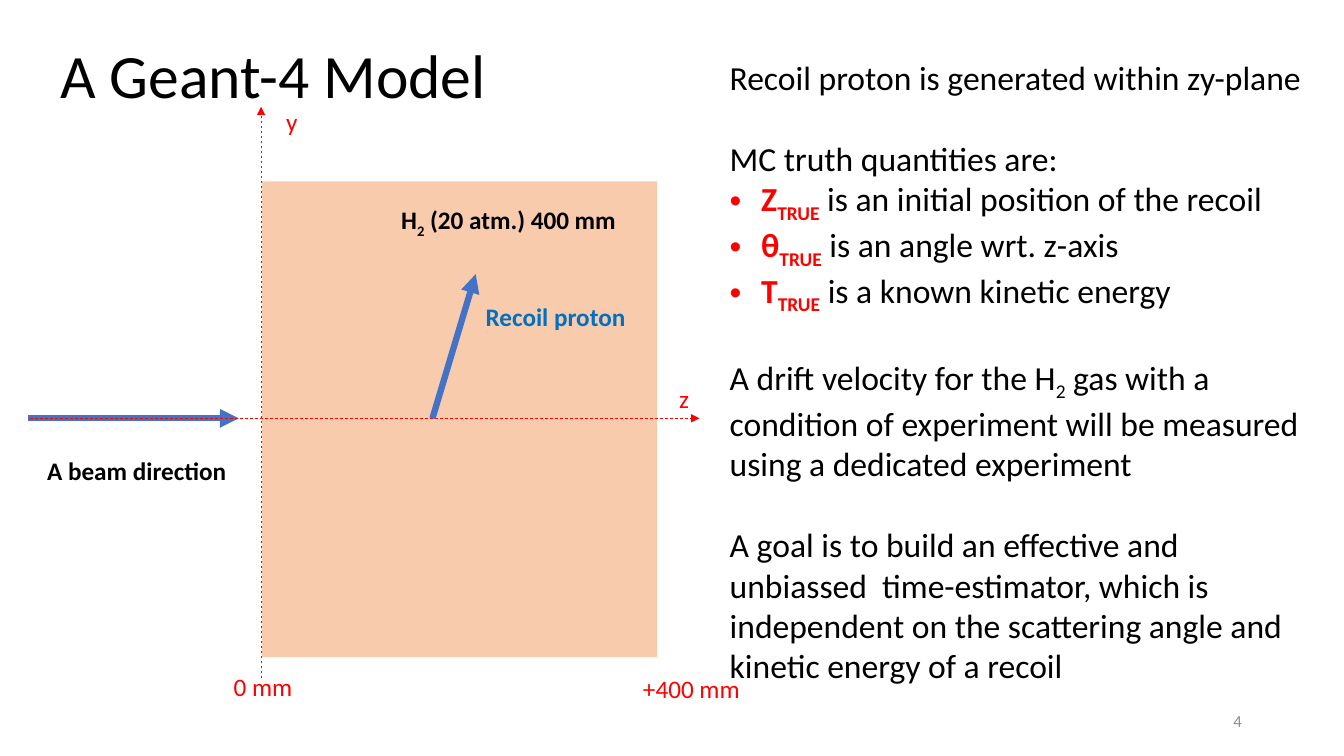
from lxml.etree import SubElement
from pptx import Presentation
from pptx.dml.color import RGBColor
from pptx.enum.dml import MSO_LINE
from pptx.enum.shapes import MSO_CONNECTOR, MSO_SHAPE
from pptx.enum.text import MSO_ANCHOR, MSO_AUTO_SIZE, PP_ALIGN
from pptx.oxml.ns import qn
from pptx.util import Pt

BLACK = RGBColor(0x00, 0x00, 0x00)
RED = RGBColor(0xFF, 0x00, 0x00)
BLUE = RGBColor(0x00, 0x70, 0xC0)
ARROW_BLUE = RGBColor(0x44, 0x72, 0xC4)
PEACH = RGBColor(0xF8, 0xCB, 0xAD)
GRAY = RGBColor(0x8C, 0x8C, 0x8C)

FONT = "Calibri"
BODY_SIZE = 24
BLOCK_GAP = 29.3
BULLET_INDENT = 22.5
BEAM_Y = 298.8
ORIGIN_X = 186.5

# Each statement: gap before it, and its runs; "_" marks a subscript.
INTRODUCTION = [
    (0, ["Recoil proton is generated within zy-plane"]),
    (BLOCK_GAP, ["MC truth quantities are:"]),
]
QUANTITIES = [
    ("Z", " is an initial position of the recoil"),
    ("θ", " is an angle wrt. z-axis"),
    ("T", " is a known kinetic energy"),
]
CONCLUSION = [
    (BLOCK_GAP, ["A drift velocity for the H", "_2",
                 " gas with a condition of experiment will be measured"
                 " using a dedicated experiment"]),
    (BLOCK_GAP, ["A goal is to build an effective and unbiassed  time-estimator,"
                 " which is independent on the scattering angle and kinetic"
                 " energy of a recoil"]),
]


def place(shape, left, top, width, height):
    shape.left, shape.top = Pt(left), Pt(top)
    shape.width, shape.height = Pt(width), Pt(height)


def set_font(font, size, color, bold=False):
    font.name = FONT
    font.size = Pt(size)
    font.bold = bold
    font.color.rgb = color


def add_runs(paragraph, texts):
    """Add runs; a text that starts with "_" becomes a subscript."""
    runs = []
    for text in texts:
        run = paragraph.add_run()
        run.text = text.removeprefix("_")
        if text.startswith("_"):
            run.font._element.set("baseline", "-25000")
        runs.append(run)
    return runs


def add_title(slide, text):
    title = slide.shapes.title
    place(title, 36, 18.7, 828, 75)
    frame = title.text_frame
    frame.auto_size = MSO_AUTO_SIZE.NONE
    frame.vertical_anchor = MSO_ANCHOR.MIDDLE
    paragraph = frame.paragraphs[0]
    paragraph.alignment = PP_ALIGN.LEFT
    paragraph.line_spacing = 0.9
    add_runs(paragraph, [text])
    set_font(paragraph.font, 44, BLACK)


def add_body_paragraph(frame, gap, bullet_color=None):
    paragraph = frame.paragraphs[0]
    if paragraph.runs:
        paragraph = frame.add_paragraph()
    paragraph.space_before = Pt(gap)
    properties = paragraph._p.get_or_add_pPr()
    indent = Pt(BULLET_INDENT) if bullet_color else 0
    properties.set("marL", str(indent))
    properties.set("indent", str(-indent))
    if bullet_color:
        color = SubElement(properties, qn("a:buClr"))
        SubElement(color, qn("a:srgbClr"), val=str(bullet_color))
        SubElement(properties, qn("a:buFont"), typeface="Arial")
        SubElement(properties, qn("a:buChar"), char="•")
    else:
        SubElement(properties, qn("a:buNone"))
    set_font(paragraph.font, BODY_SIZE, BLACK)
    return paragraph


def add_statements(frame, statements):
    for gap, texts in statements:
        add_runs(add_body_paragraph(frame, gap), texts)


def add_quantity(frame, symbol, meaning):
    paragraph = add_body_paragraph(frame, 0, RED)
    *name_runs, _ = add_runs(paragraph, [symbol, "_TRUE", meaning])
    for run in name_runs:
        run.font.bold = True
        run.font.color.rgb = RED


def add_body(slide):
    body = slide.placeholders[1]
    place(body, 514, 36.7, 428.4, 443.5)
    frame = body.text_frame
    frame.auto_size = MSO_AUTO_SIZE.NONE
    add_statements(frame, INTRODUCTION)
    for symbol, meaning in QUANTITIES:
        add_quantity(frame, symbol, meaning)
    add_statements(frame, CONCLUSION)


def add_gas_volume(slide):
    gas = slide.shapes.add_shape(
        MSO_SHAPE.RECTANGLE, Pt(187.2), Pt(129.6), Pt(282.2), Pt(339.8))
    gas.shadow.inherit = False
    gas.fill.solid()
    gas.fill.fore_color.rgb = PEACH
    gas.line.fill.background()


def add_arrow(slide, start, end, color, width, dashed=False):
    arrow = slide.shapes.add_connector(
        MSO_CONNECTOR.STRAIGHT, *map(Pt, start), *map(Pt, end))
    arrow.line.color.rgb = color
    arrow.line.width = Pt(width)
    if dashed:
        arrow.line.dash_style = MSO_LINE.DASH
    SubElement(arrow.line._get_or_add_ln(), qn("a:tailEnd"), type="triangle")
    SubElement(arrow._element.spPr, qn("a:effectLst"))


def add_label(slide, left, top, width, texts, color, bold=False, size=18,
              alignment=PP_ALIGN.LEFT, anchor=MSO_ANCHOR.TOP, wrap=True):
    label = slide.shapes.add_textbox(Pt(left), Pt(top), Pt(width), Pt(29))
    frame = label.text_frame
    frame.word_wrap = wrap
    frame.vertical_anchor = anchor
    paragraph = frame.paragraphs[0]
    paragraph.alignment = alignment
    add_runs(paragraph, texts)
    set_font(paragraph.font, size, color, bold)


def main():
    presentation = Presentation()
    presentation.slide_width, presentation.slide_height = Pt(960), Pt(540)
    slide = presentation.slides.add_slide(presentation.slide_layouts[1])

    add_title(slide, "A Geant-4 Model")
    add_gas_volume(slide)
    add_arrow(slide, (20.2, BEAM_Y), (170.6, BEAM_Y), ARROW_BLUE, 4.5)
    add_label(slide, 279.4, 142.6, 188.6, ["H", "_2", " (20 atm.) 400 mm"],
              BLACK, bold=True)
    add_label(slide, 678.2, 500.4, 216, ["4"], GRAY, size=12,
              alignment=PP_ALIGN.RIGHT, anchor=MSO_ANCHOR.MIDDLE)

    add_arrow(slide, (21.6, BEAM_Y), (499.7, BEAM_Y), RED, 0.5, dashed=True)
    add_arrow(slide, (ORIGIN_X, 484.6), (ORIGIN_X, 76.3), RED, 0.5, dashed=True)
    add_label(slide, 197.3, 72.7, 23, ["y"], RED, wrap=False)
    add_label(slide, 478.1, 270, 21.6, ["z"], RED, wrap=False)
    add_label(slide, 452.2, 477.4, 110.9, ["+400 mm"], RED)
    add_label(slide, 159.8, 475.9, 110.9, ["0 mm"], RED)

    add_label(slide, 26.6, 321.8, 186.5, ["A beam direction"], BLACK, bold=True)
    add_arrow(slide, (308.9, BEAM_Y), (339.8, 195.8), ARROW_BLUE, 4.5)
    add_label(slide, 339.8, 211.7, 186.5, ["Recoil proton"], BLUE, bold=True)
    add_body(slide)

    presentation.save("out.pptx")


if __name__ == "__main__":
    main()
